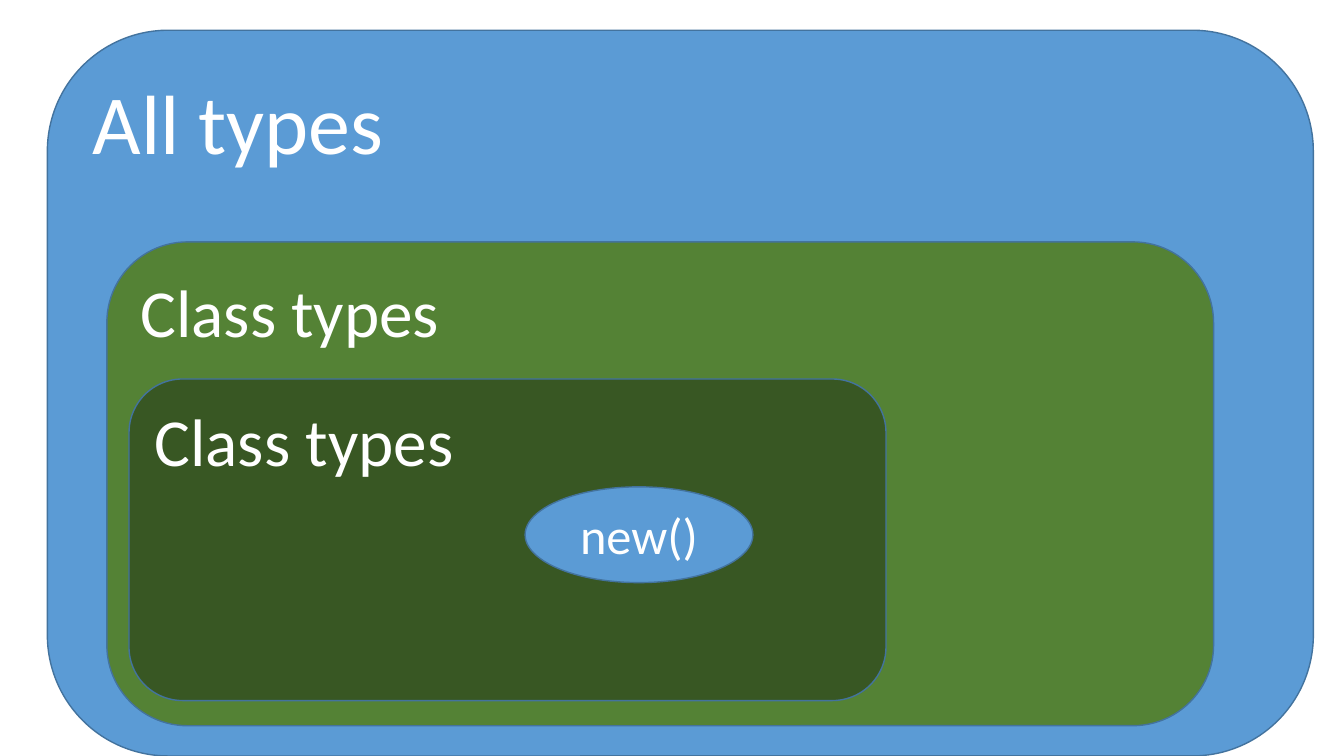
from dataclasses import dataclass

from pptx import Presentation
from pptx.dml.color import RGBColor
from pptx.enum.shapes import MSO_SHAPE as Preset
from pptx.enum.text import MSO_ANCHOR as Anchor, PP_ALIGN as Align
from pptx.slide import Slide
from pptx.util import Pt

BLUE, GREEN, DARK_GREEN = "5B9BD5", "548235", "385723"
OUTLINE, WHITE = "43739E", "FFFFFF"


@dataclass
class TypeSet:
    label: str
    left: float
    top: float
    width: float
    height: float
    fill: str
    size: int
    preset: Preset = Preset.ROUNDED_RECTANGLE
    anchor: Anchor = Anchor.TOP
    align: Align = Align.LEFT


TYPE_SETS = [
    TypeSet("All types", 33.84, 21.6, 904.32, 518.4, BLUE, 60),
    TypeSet("Class types", 76.32, 172.8, 790.56, 345.6, GREEN, 48),
    TypeSet("Class types", 92.16, 270.72, 540.72, 229.68, DARK_GREEN, 48),
    TypeSet("new()", 375.12, 347.76, 162.72, 68.4, BLUE, 36,
            Preset.OVAL, Anchor.MIDDLE, Align.CENTER),
]


def color(hex_value: str) -> RGBColor:
    return RGBColor.from_string(hex_value)


def draw_type_set(slide: Slide, type_set: TypeSet) -> None:
    bounds = (type_set.left, type_set.top, type_set.width, type_set.height)
    region = slide.shapes.add_shape(type_set.preset, *map(Pt, bounds))
    region.shadow.inherit = False
    region.fill.solid()
    region.fill.fore_color.rgb = color(type_set.fill)
    region.line.color.rgb = color(OUTLINE)
    region.line.width = Pt(1)

    frame = region.text_frame
    frame.word_wrap = True
    frame.vertical_anchor = type_set.anchor
    label = frame.paragraphs[0]
    label.alignment = type_set.align
    run = label.add_run()
    run.text = type_set.label
    font_format = {"name": "Calibri", "size": Pt(type_set.size)}
    for attribute, value in font_format.items():
        setattr(run.font, attribute, value)
    run.font.color.rgb = color(WHITE)


def main() -> None:
    deck = Presentation()
    deck.slide_width, deck.slide_height = Pt(960), Pt(540)
    blank_layout = deck.slide_layouts[6]
    slide = deck.slides.add_slide(blank_layout)
    for type_set in TYPE_SETS:
        draw_type_set(slide, type_set)
    deck.save("out.pptx")


if __name__ == "__main__":
    main()
